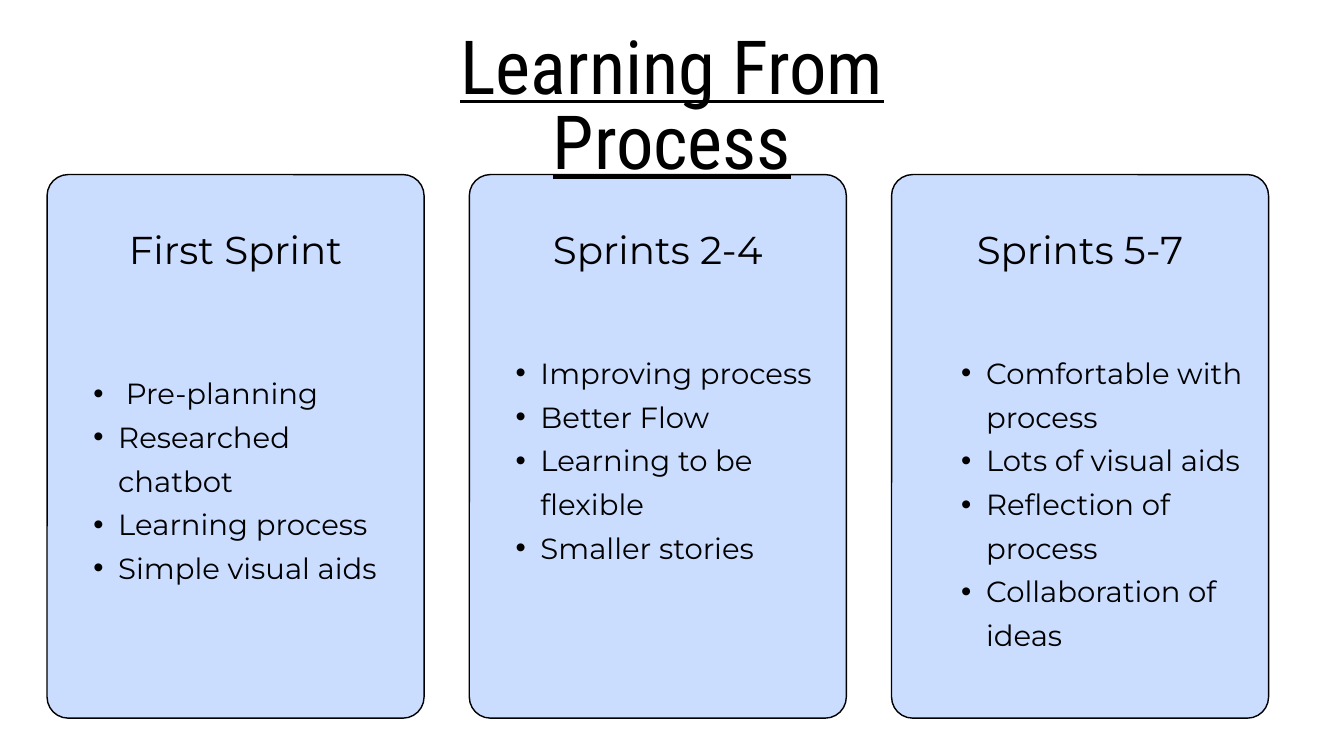
from lxml import etree
from pptx import Presentation
from pptx.dml.color import RGBColor
from pptx.enum import shapes, text
from pptx.oxml.ns import qn
from pptx.util import Cm, Pt

TITLE = "Learning From Process"
JUSTIFY, LEFT, CENTER = text.PP_ALIGN.JUSTIFY, text.PP_ALIGN.LEFT, text.PP_ALIGN.CENTER
SPRINTS = [
    {"heading": "First Sprint", "heading_width": 10.97,
     "inset": 0.82, "top": 13.87, "width": 12.57, "height": 8.1, "align": JUSTIFY,
     "points": [" Pre-planning", "Researched chatbot", "Learning process", "Simple visual aids"]},
    {"heading": "Sprints 2-4", "heading_width": 10.97,
     "inset": 0.82, "top": 13.11, "width": 12.57, "height": 8.1, "align": LEFT,
     "points": ["Improving process", "Better Flow", "Learning to be flexible", "Smaller stories"]},
    {"heading": "Sprints 5-7", "heading_width": 12.57,
     "inset": 1.7, "top": 13.11, "width": 11.71, "height": 11.4, "align": LEFT,
     "points": ["Comfortable with process", "Lots of visual aids",
                "Reflection of process", "Collaboration of ideas"]},
]
CARD_LEFT, CARD_TOP, CARD_WIDTH, CARD_HEIGHT, CARD_PITCH = 1.78, 6.6, 14.25, 20.55, 15.96
CARD_RADIUS = 0.8
BODY_FONT, TITLE_FONT = "Montserrat", "Roboto Condensed"


def color(value):
    return RGBColor.from_string(value)


def fill_text(box, lines, font, size, spacing, align):
    frame = box.text_frame
    frame.word_wrap = True
    frame.auto_size = text.MSO_AUTO_SIZE.SHAPE_TO_FIT_TEXT
    frame.vertical_anchor = text.MSO_ANCHOR.TOP
    frame.margin_left = frame.margin_right = frame.margin_top = frame.margin_bottom = 0
    frame.text = "\n".join(lines)
    for para in frame.paragraphs:
        para.alignment = align
        para.line_spacing = Pt(spacing)
        para.font.name = font
        para.font.size = Pt(size)
        para.font.color.rgb = color("000000")
    return frame.paragraphs


def add_bullet(para):
    para.level = 1
    props = para._p.get_or_add_pPr()
    props.set("marL", str(Cm(1.87)))
    props.set("indent", str(Cm(-0.94)))
    bullet_font = etree.Element(qn("a:buFont"), typeface="Arial")
    bullet = etree.Element(qn("a:buChar"), char="•")
    place = props.index(props.find(qn("a:defRPr")))
    props[place:place] = [bullet_font, bullet]


def add_card(slide, left):
    card = slide.shapes.add_shape(shapes.MSO_SHAPE.ROUNDED_RECTANGLE, Cm(left), Cm(CARD_TOP),
                                  Cm(CARD_WIDTH), Cm(CARD_HEIGHT))
    card.adjustments[0] = CARD_RADIUS / CARD_WIDTH
    card.shadow.inherit = False
    card.fill.solid()
    card.fill.fore_color.rgb = color("CADDFF")
    card.line.color.rgb = color("000000")
    card.line.width = Pt(1.5)


def add_sprint(slide, left, sprint):
    add_card(slide, left)
    width = sprint["heading_width"]
    heading = slide.shapes.add_textbox(Cm(left + (CARD_WIDTH - width) / 2), Cm(8.38),
                                       Cm(width), Cm(1.88))
    fill_text(heading, [sprint["heading"]], BODY_FONT, 41.6, 54.1, CENTER)
    body = slide.shapes.add_textbox(Cm(left + sprint["inset"]), Cm(sprint["top"]),
                                    Cm(sprint["width"]), Cm(sprint["height"]))
    for para in fill_text(body, sprint["points"], BODY_FONT, 31.2, 46.8, sprint["align"]):
        add_bullet(para)


def main():
    deck = Presentation()
    deck.slide_width, deck.slide_height = Cm(50.8), Cm(28.58)
    slide = deck.slides.add_slide(deck.slide_layouts[5])
    slide.background.fill.solid()
    slide.background.fill.fore_color.rgb = color("FFFFFF")

    for column, sprint in enumerate(SPRINTS):
        add_sprint(slide, CARD_LEFT + column * CARD_PITCH, sprint)

    title = slide.shapes.title
    title.left, title.top, title.width, title.height = Cm(12.93), Cm(1.27), Cm(24.94), Cm(3)
    for para in fill_text(title, [TITLE], TITLE_FONT, 80, 80.8, CENTER):
        para.font.underline = True
    slide.shapes._spTree.append(title._element)

    deck.save("out.pptx")


if __name__ == "__main__":
    main()
